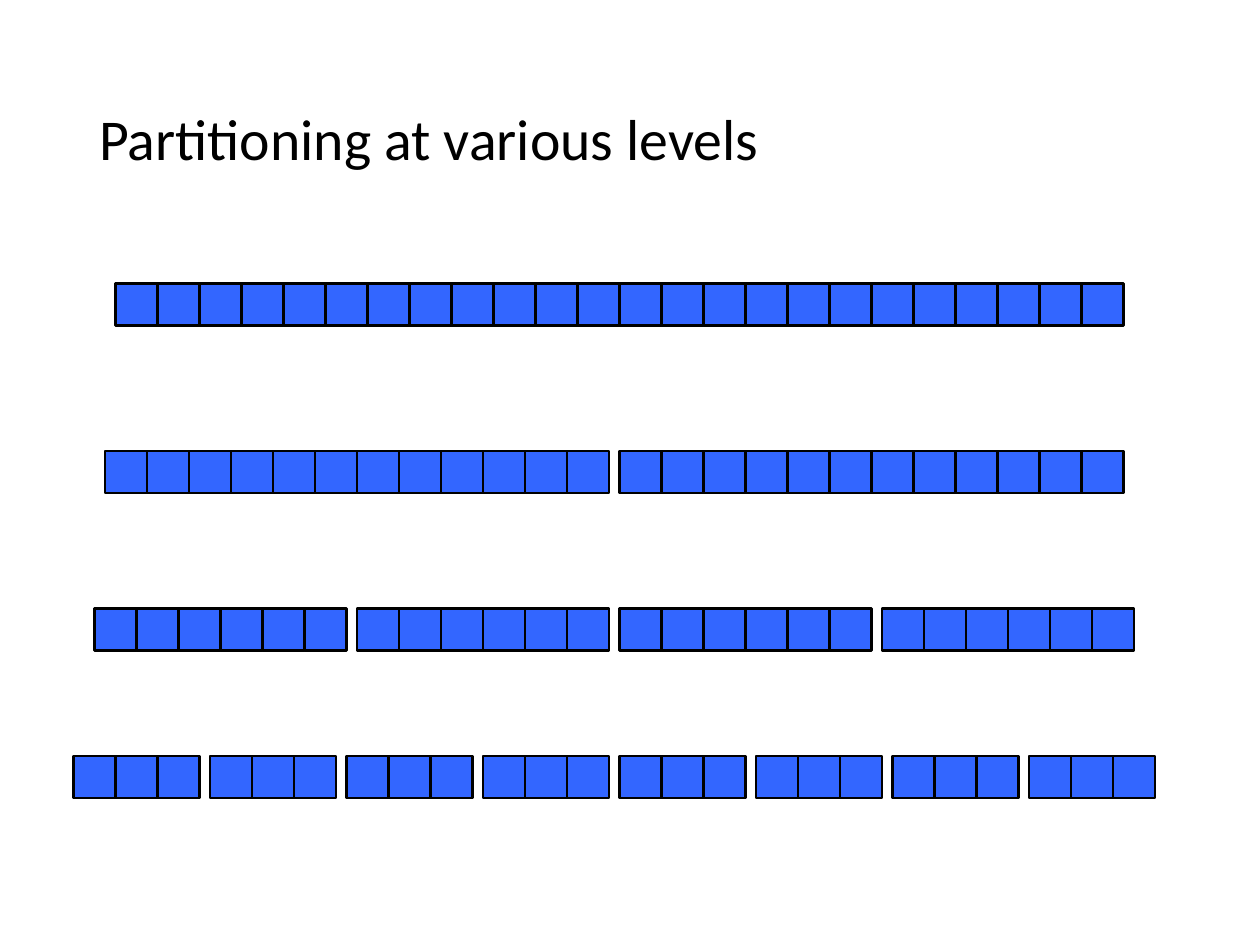
from pptx import Presentation
from pptx.dml.color import RGBColor
from pptx.enum.shapes import MSO_SHAPE as Shape
from pptx.enum.text import MSO_ANCHOR as Anchor
from pptx.util import Inches, Pt

CELLS = 24
CELL = 1 / 3
GAP = CELL / 4
MIDDLE = 4 + 11 / 12  # left edge of the second half in every row
LEVELS = [(1, 2.25), (2, 3.58), (4, 4.83), (8, 6)]  # partitions, top


def color(hex_string):
    return RGBColor.from_string(hex_string)


def add_title(page, text):
    box = page.shapes.add_textbox(Inches(0.69), Inches(0.4), Inches(8.63), Inches(1.45))
    frame = box.text_frame
    frame.word_wrap = True
    frame.vertical_anchor = Anchor.MIDDLE
    frame.text = text
    para = frame.paragraphs[0]
    para.line_spacing = 0.9
    font = para.runs[0].font
    font.name = "Calibri"
    font.size = Pt(33)
    font.color.rgb = color("000000")


def add_cell(group, left, top):
    cell = group.shapes.add_shape(
        Shape.RECTANGLE, Inches(left), Inches(top), Inches(CELL), Inches(CELL))
    cell.shadow.inherit = False
    cell.fill.solid()
    cell.fill.fore_color.rgb = color("3366FF")
    cell.line.color.rgb = color("000000")
    cell.line.width = Pt(1.25)


def add_level(page, partitions, top):
    """Draw one row of cells, with a gap between its partitions."""
    group = page.shapes.add_group_shape()
    left = MIDDLE - CELLS // 2 * CELL - partitions // 2 * GAP
    partition_size = CELLS // partitions
    for index in range(CELLS):
        add_cell(group, left + index * CELL + index // partition_size * GAP, top)


def main():
    deck = Presentation()
    deck.slide_width = Inches(10)
    deck.slide_height = Inches(7.5)
    page = deck.slides.add_slide(deck.slide_layouts[6])

    add_title(page, "Partitioning at various levels")

    # Each level halves the partitions of the one above
    for partitions, top in LEVELS:
        add_level(page, partitions, top)

    deck.save("out.pptx")


if __name__ == "__main__":
    main()
